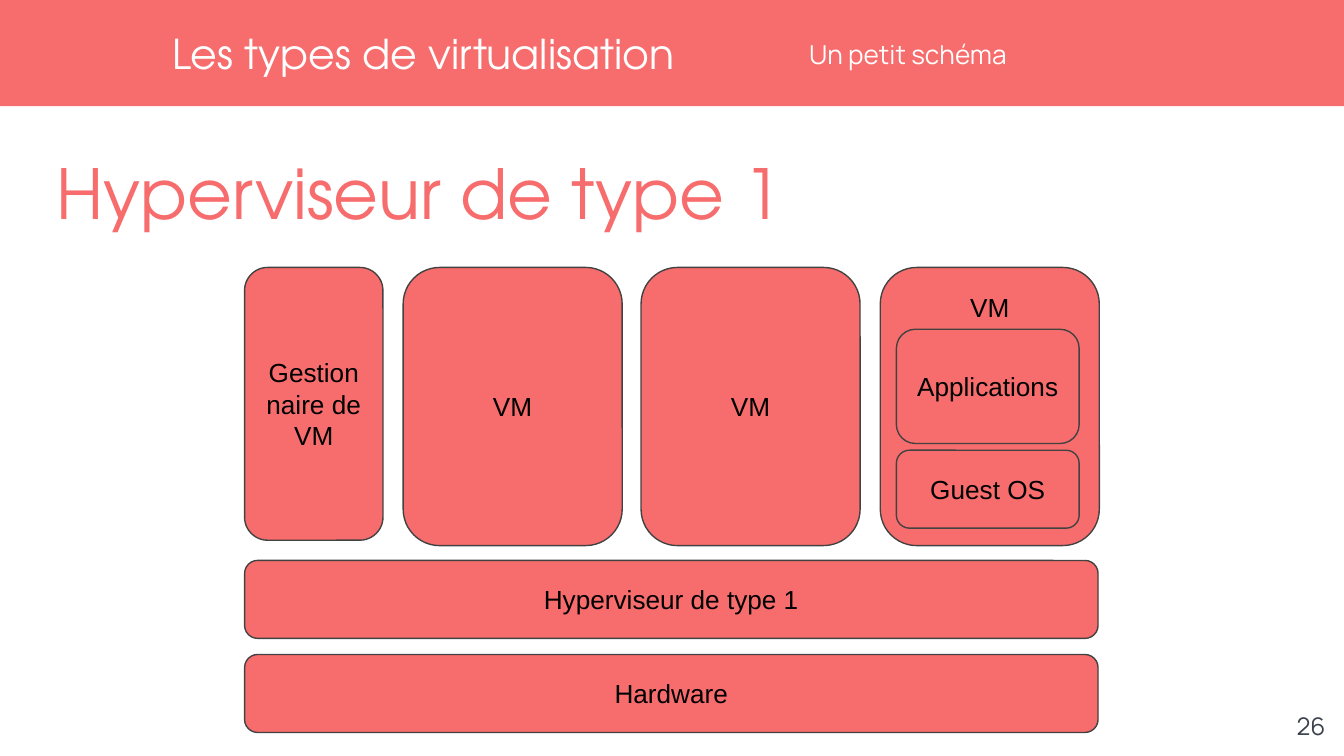
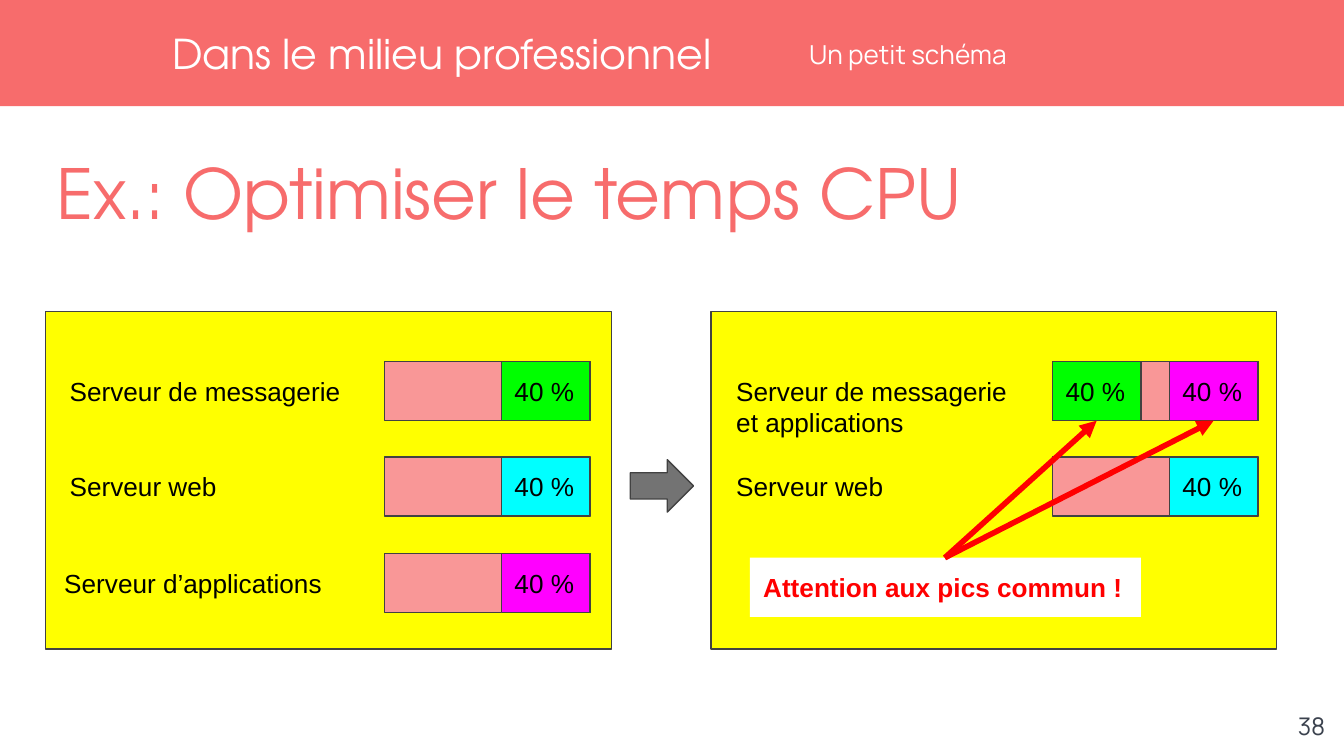
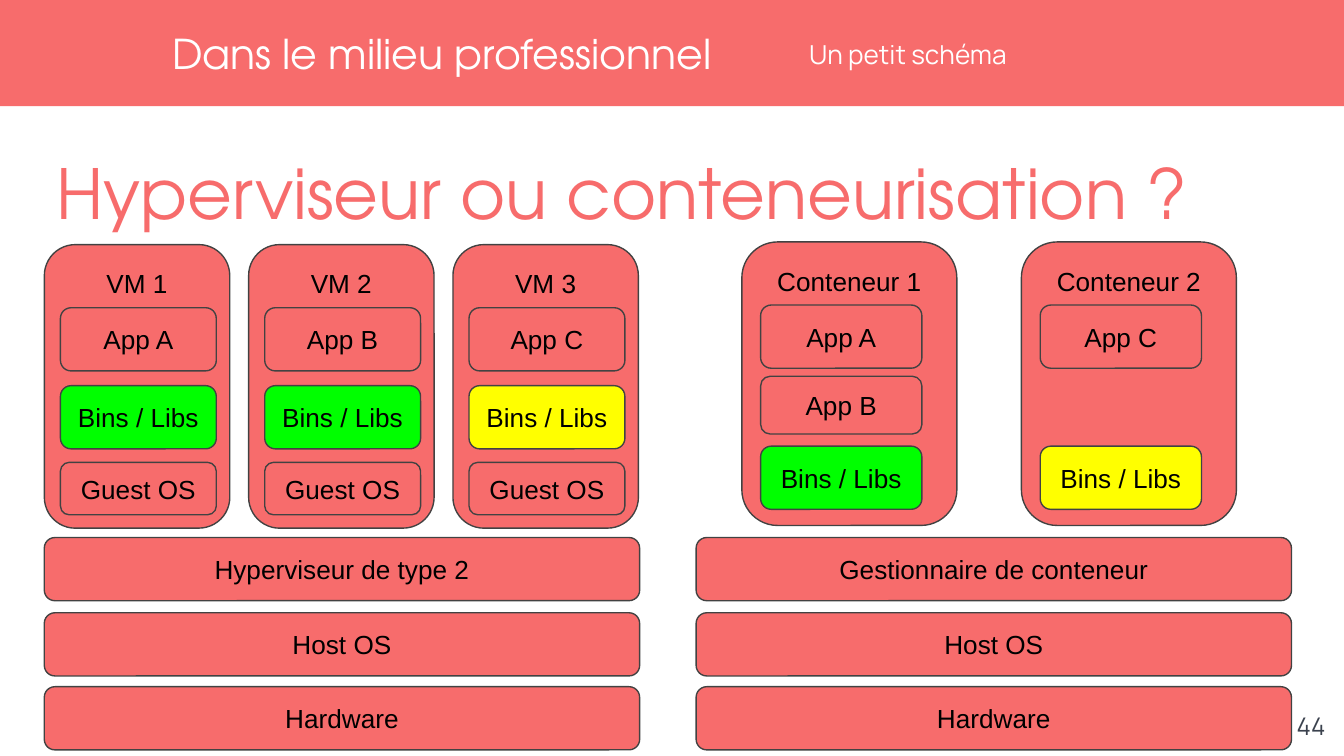
import lxml.etree
import pptx
import pptx.util
import pptx.dml.color
import pptx.enum.shapes
import pptx.enum.text
import pptx.oxml.ns

Inches = pptx.util.Inches
Pt = pptx.util.Pt
SHAPE = pptx.enum.shapes.MSO_SHAPE
ALIGN = pptx.enum.text.PP_ALIGN
ANCHOR = pptx.enum.text.MSO_ANCHOR
AUTO_SIZE = pptx.enum.text.MSO_AUTO_SIZE
qn = pptx.oxml.ns.qn

COLORS = {
    "coral": "F76C6C", "pink": "F99797", "white": "FFFFFF", "black": "000000",
    "outline": "424242", "slate": "3B424E", "gray": "737373", "red": "FF0000",
    "yellow": "FFFF00", "green": "00FF00", "cyan": "00FFFF", "magenta": "FF00FF",
}
BODY_FONT, SMALL_FONT, TITLE_FONT = "Arial", "Manrope", "TeX Gyre Adventor"
SUBTITLE = "Un petit schéma"
BINS = "Bins / Libs"

SLIDES = [
    ("Les types de virtualisation", "Hyperviseur de type 1", "26"),
    ("Dans le milieu professionnel", "Ex.: Optimiser le temps CPU", "38"),
    ("Dans le milieu professionnel", "Hyperviseur ou conteneurisation ?", "44"),
]

TYPE_1_LAYERS = [("Hardware", 4.87), ("Hyperviseur de type 1", 4.17)]
TYPE_1_GUEST = [("Guest OS", 3.35, 0.58), ("Applications", 2.45, 0.85)]

ROW_TOPS = (2.69, 3.40, 4.12)
SERVERS_BEFORE = [
    ("Serveur de messagerie", 0.42, 2.8, 0.44, [("green", 0.87)]),
    ("Serveur web", 0.42, 2.8, 0.44, [("cyan", 0.87)]),
    ("Serveur d’applications", 0.38, 2.8, 0.44, [("magenta", 0.87)]),
]
SERVERS_AFTER = [
    ("Serveur de messagerie et applications", 5.38, 2.24, 0.67,
     [("magenta", 0.87), ("green", 0)]),
    ("Serveur web", 5.38, 2.8, 0.44, [("cyan", 0.87)]),
]

VIRTUAL_MACHINES = [
    ("VM 1", "App A", "green"), ("VM 2", "App B", "green"), ("VM 3", "App C", "yellow"),
]
CONTAINERS = [
    ("Conteneur 1", [("App A", 2.27, 0.47, "coral"), ("App B", 2.80, 0.43, "coral"),
                     (BINS, 3.32, 0.47, "green")]),
    ("Conteneur 2", [("App C", 2.27, 0.47, "coral"), (BINS, 3.32, 0.47, "yellow")]),
]
LAYER_TOPS = (4.0, 4.56, 5.11)
STACKS = [
    (0.33, ("Hyperviseur de type 2", "Host OS", "Hardware")),
    (5.18, ("Gestionnaire de conteneur", "Host OS", "Hardware")),
]


def rgb(name):
    return pptx.dml.color.RGBColor.from_string(COLORS[name])


def write(shape, text, size=14, font=BODY_FONT, color="black", align=ALIGN.LEFT,
          anchor=ANCHOR.TOP, inset=0.1, bold=False):
    frame = shape.text_frame
    frame.word_wrap = True
    frame.auto_size = AUTO_SIZE.NONE
    frame.vertical_anchor = anchor
    frame.margin_left = frame.margin_right = Inches(inset)
    frame.margin_top = frame.margin_bottom = Inches(inset)
    paragraph = frame.paragraphs[0]
    paragraph.alignment = align
    run = paragraph.add_run()
    run.text = text
    run.font.size = Pt(size)
    run.font.name = font
    run.font.bold = bold
    run.font.color.rgb = rgb(color)


def add_text(shapes, text, left, top, width, height, **style):
    box = shapes.add_textbox(Inches(left), Inches(top), Inches(width), Inches(height))
    write(box, text, **style)


def add_block(shapes, left, top, width, height, fill, kind=SHAPE.RECTANGLE, outlined=True):
    shape = shapes.add_shape(kind, Inches(left), Inches(top), Inches(width), Inches(height))
    shape.shadow.inherit = False
    shape.fill.solid()
    shape.fill.fore_color.rgb = rgb(fill)
    if outlined:
        shape.line.color.rgb = rgb("outline")
        shape.line.width = Pt(0.75)
    else:
        shape.line.fill.background()
    return shape


def add_box(shapes, text, left, top, width, height, fill="coral", anchor=ANCHOR.MIDDLE):
    box = add_block(shapes, left, top, width, height, fill, SHAPE.ROUNDED_RECTANGLE)
    write(box, text, align=ALIGN.CENTER, anchor=anchor)


def add_arrow(slide, start, end):
    connector = slide.shapes.add_connector(
        pptx.enum.shapes.MSO_CONNECTOR.STRAIGHT, *map(Inches, start + end))
    connector.line.color.rgb = rgb("red")
    connector.line.width = Pt(3)
    properties = connector.element.spPr
    lxml.etree.SubElement(properties.find(qn("a:ln")), qn("a:tailEnd"), type="triangle")
    lxml.etree.SubElement(properties, qn("a:effectLst"))


def add_slide(presentation, section, heading, number):
    slide = presentation.slides.add_slide(presentation.slide_layouts[5])
    title = slide.shapes.title
    title.left, title.top = Inches(0.42), Inches(1.12)
    title.width, title.height = Inches(9.26), Inches(0.58)
    write(title, heading, size=37, font=TITLE_FONT, color="coral", inset=0)
    add_text(slide.shapes, section, 1.28, 0, 4.69, 0.79, size=22, font=TITLE_FONT,
             color="white", anchor=ANCHOR.MIDDLE, inset=0)
    add_text(slide.shapes, SUBTITLE, 6.02, 0.21, 3.84, 0.39, font=SMALL_FONT,
             color="white", anchor=ANCHOR.MIDDLE, inset=0)
    add_text(slide.shapes, number, 9.36, 5.19, 0.6, 0.43, size=13, font=SMALL_FONT,
             color="slate", align=ALIGN.RIGHT)
    return slide


def move_band_to_layout(slide):
    band = add_block(slide.shapes, -0.02, 0, 10.04, 0.79, "coral", outlined=False)
    slide.slide_layout.shapes.element.insert(2, band.element)


def draw_type_1(slide):
    shapes = slide.shapes
    for text, top in TYPE_1_LAYERS:
        add_box(shapes, text, 1.82, top, 6.35, 0.58)
    add_box(shapes, "Gestionnaire de VM", 1.82, 1.99, 1.03, 2.03)
    for left, anchor in ((3.0, ANCHOR.MIDDLE), (4.77, ANCHOR.MIDDLE), (6.55, ANCHOR.TOP)):
        add_box(shapes, "VM", left, 1.99, 1.63, 2.07, anchor=anchor)
    for text, top, height in TYPE_1_GUEST:
        add_box(shapes, text, 6.67, top, 1.36, height)


def draw_cpu_usage(slide):
    shapes = slide.shapes
    for panel_left, bar_left, servers in ((0.34, 2.86, SERVERS_BEFORE),
                                          (5.29, 7.83, SERVERS_AFTER)):
        add_block(shapes, panel_left, 2.32, 4.21, 2.51, "yellow")
        for top, (text, left, width, height, loads) in zip(ROW_TOPS, servers):
            add_block(shapes, bar_left, top, 1.53, 0.44, "pink")
            add_text(shapes, text, left, top, width, height)
            for color, offset in loads:
                load = add_block(shapes, bar_left + offset, top, 0.66, 0.44, color)
                write(load, "40 %", anchor=ANCHOR.MIDDLE)
    add_block(shapes, 4.69, 3.42, 0.47, 0.39, "gray", SHAPE.RIGHT_ARROW)
    warning = add_block(shapes, 5.58, 4.15, 2.91, 0.44, "white", outlined=False)
    write(warning, "Attention aux pics commun !", color="red", bold=True)
    for end in ((8.16, 3.13), (9.03, 3.13)):
        add_arrow(slide, (7.03, 4.15), end)


def draw_comparison(slide):
    for index, (name, application, bins_color) in enumerate(VIRTUAL_MACHINES):
        shapes = slide.shapes.add_group_shape().shapes
        left = 0.33 + 1.52 * index
        add_box(shapes, name, left, 1.82, 1.38, 2.11, anchor=ANCHOR.TOP)
        for text, top, height, fill in ((application, 2.29, 0.47, "coral"),
                                        (BINS, 2.87, 0.47, bins_color),
                                        ("Guest OS", 3.44, 0.39, "coral")):
            add_box(shapes, text, left + 0.12, top, 1.16, height, fill)
    for left, layers in STACKS:
        shapes = slide.shapes.add_group_shape().shapes
        for text, top in zip(layers, LAYER_TOPS):
            add_box(shapes, text, left, top, 4.43, 0.47)
    shapes = slide.shapes.add_group_shape().shapes
    for index, (name, parts) in enumerate(CONTAINERS):
        left = 5.52 + 2.08 * index
        add_box(shapes, name, left, 1.8, 1.6, 2.11, anchor=ANCHOR.TOP)
        for text, top, height, fill in parts:
            add_box(shapes, text, left + 0.14, top, 1.2, height, fill)


def main():
    presentation = pptx.Presentation()
    presentation.slide_width = Inches(10)
    presentation.slide_height = Inches(10 * 9 / 16)
    drawings = (draw_type_1, draw_cpu_usage, draw_comparison)
    for content, draw in zip(SLIDES, drawings):
        draw(add_slide(presentation, *content))
    move_band_to_layout(presentation.slides[0])
    presentation.save("out.pptx")


if __name__ == "__main__":
    main()
